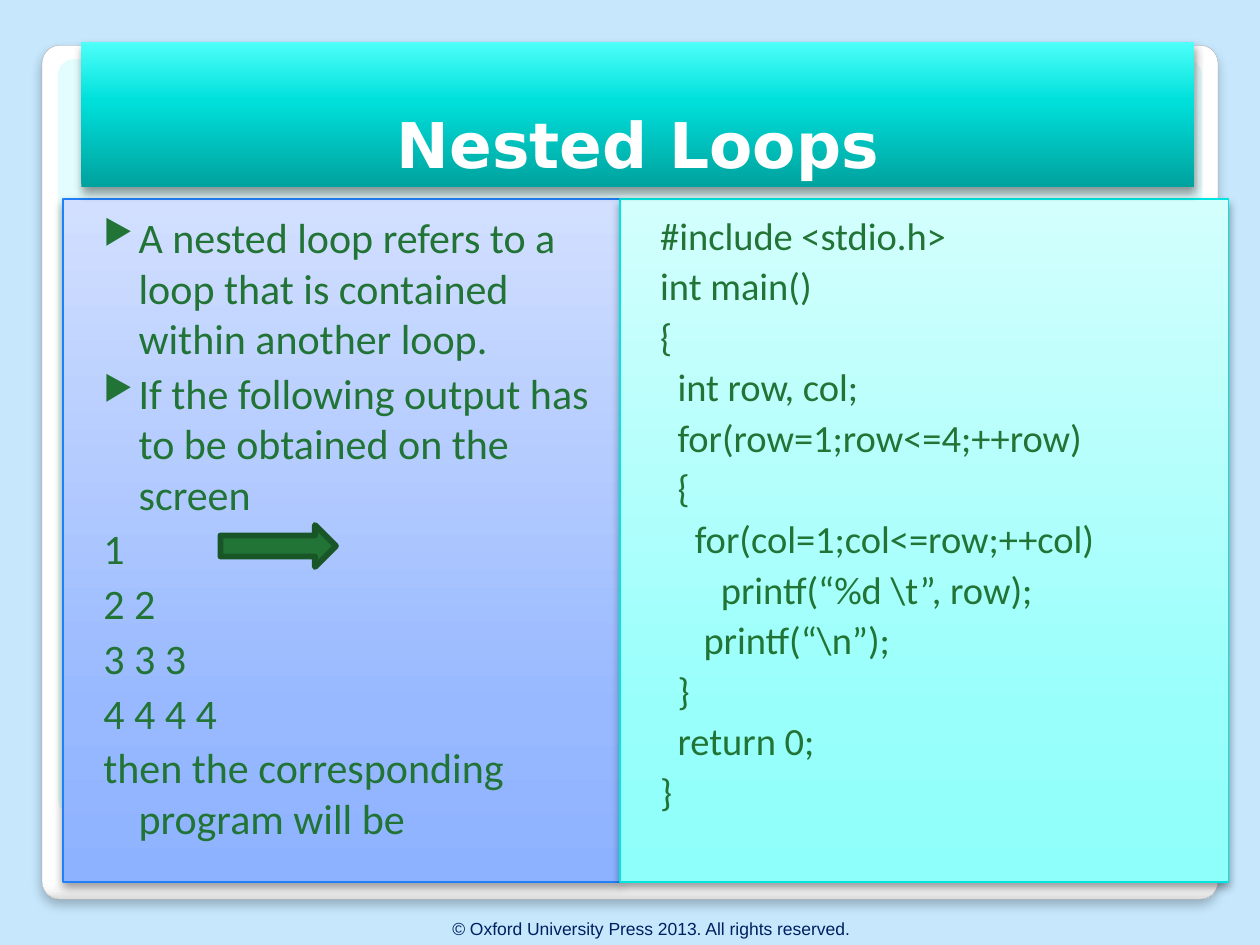
from lxml import etree
from pptx import Presentation
from pptx.dml.color import RGBColor
from pptx.enum import shapes, text
from pptx.oxml.ns import qn
from pptx.util import Pt

COLORS = {
    "background": "C6E7FC", "white": "FFFFFF", "green": "217435", "dark green": "185627",
    "frame line": "A4A4A4", "inner frame": "C9FAFC", "blue line": "2180F7",
    "cyan line": "00E5E0", "navy": "002060", "black": "000000",
}
GRADIENTS = {
    "frame": [(0, "FFFFFF"), (98, "FFFFFF"), (99, "F7F7F7"), (100, "DADADA")],
    "blue": [(0, "8DB2FF"), (25, "98B9FF"), (100, "D2DFFF")],
    "cyan": [(0, "8EFFFA"), (25, "99FFFB"), (100, "D3FFFD")],
    "title": [(0, "00A29E"), (60, "00E0DB"), (100, "4EFFF9")],
}
TITLE = "Nested Loops"
FOOTER = "© Oxford University Press 2013. All rights reserved."
BULLETS = [
    "A nested loop refers to a loop that is contained within another loop.",
    "If the following output has to be obtained on the screen",
]
OUTPUT = ["1", "2 2", "3 3 3", "4 4 4 4", "then the corresponding program will be"]
CODE = r"""#include <stdio.h>
int main()
{
  int row, col;
  for(row=1;row<=4;++row)
  {
    for(col=1;col<=row;++col)
       printf(“%d \t”, row);
     printf(“\n”);
  }
  return 0;
}""".split("\n")
PANEL_TOP, PANEL_HEIGHT = 113.76, 390.24
PANELS = [  # left, width, gradient, line, text size, bulleted lines, plain lines
    (36, 318.24, "blue", "blue line", 24, BULLETS, OUTPUT),
    (354.24, 347.76, "cyan", "cyan line", 22, [], CODE),
]


def rgb(name):
    return RGBColor.from_string(COLORS[name])


def add_element(parent, tag, **attributes):
    return etree.SubElement(parent, qn(tag), {key: str(value) for key, value in attributes.items()})


def add_box(slide, kind, box, fill=None, line=None, line_width=0.75):
    shape = slide.shapes.add_shape(kind, *(Pt(value) for value in box))
    shape.shadow.inherit = False
    if fill:
        shape.fill.solid()
        shape.fill.fore_color.rgb = rgb(fill)
    if line:
        shape.line.color.rgb = rgb(line)
        shape.line.width = Pt(line_width)
    else:
        shape.line.fill.background()
    return shape


def set_gradient(shape, name, angle=270):
    shape.fill.gradient()
    gradient = shape._element.spPr.find(qn("a:gradFill"))
    gradient.clear()
    stops = add_element(gradient, "a:gsLst")
    for position, color in GRADIENTS[name]:
        add_element(add_element(stops, "a:gs", pos=position * 1000), "a:srgbClr", val=color)
    add_element(gradient, "a:lin", ang=angle * 60000, scaled=0)


def set_shadow(shape, opacity=40, blur=5.2, distance=3):
    effects = shape._element.spPr.find(qn("a:effectLst"))
    shadow = add_element(effects, "a:outerShdw", blurRad=Pt(blur), dist=Pt(distance),
                         dir=90 * 60000, algn="ctr", rotWithShape=0)
    color = add_element(shadow, "a:srgbClr", val=COLORS["black"])
    add_element(color, "a:alpha", val=opacity * 1000)


def style_paragraph(paragraph, content, size, font, color, align, bold=False):
    paragraph.text = content
    paragraph.alignment = align
    paragraph.font.size = Pt(size)
    paragraph.font.name = font
    paragraph.font.bold = bold
    paragraph.font.color.rgb = rgb(color)


def set_hanging_indent(paragraph, bulleted):
    properties = paragraph._p.get_or_add_pPr()
    properties.set("marL", str(Pt(28.8)))
    properties.set("indent", str(Pt(-20.16)))
    if bulleted:
        add_element(add_element(properties, "a:buClr"), "a:srgbClr", val=COLORS["green"])
        add_element(properties, "a:buSzPct", val=80000)
        add_element(properties, "a:buChar", char="▶")
    else:
        add_element(properties, "a:buNone")


def add_panel(slide, left, width, gradient, line, size, bullets, plain):
    panel = add_box(slide, shapes.MSO_SHAPE.RECTANGLE,
                    (left, PANEL_TOP, width, PANEL_HEIGHT), line=line)
    set_gradient(panel, gradient)
    set_shadow(panel)
    frame = panel.text_frame
    frame.word_wrap = True
    frame.vertical_anchor = text.MSO_ANCHOR.TOP
    frame.margin_left, frame.margin_top = Pt(14.4), Pt(7.2)
    frame.margin_right, frame.margin_bottom = Pt(7.2), Pt(3.6)
    for index, content in enumerate(bullets + plain):
        paragraph = frame.add_paragraph() if index else frame.paragraphs[0]
        set_hanging_indent(paragraph, index < len(bullets))
        style_paragraph(paragraph, content, size, "Calibri", "green", text.PP_ALIGN.LEFT)
        if index:
            paragraph.space_before = Pt(2.5)


def add_heading(shape, content, size, font, color, bold=False):
    frame = shape.text_frame
    frame.word_wrap = True
    frame.vertical_anchor = text.MSO_ANCHOR.BOTTOM
    style_paragraph(frame.paragraphs[0], content, size, font, color, text.PP_ALIGN.CENTER, bold)


def main():
    presentation = Presentation()
    presentation.slide_width, presentation.slide_height = Pt(720), Pt(540)
    slide = presentation.slides.add_slide(presentation.slide_layouts[6])
    slide.background.fill.solid()
    slide.background.fill.fore_color.rgb = rgb("background")

    rounded = shapes.MSO_SHAPE.ROUNDED_RECTANGLE
    frame = add_box(slide, rounded, (24, 25.92, 672, 488), line="frame line", line_width=0.16)
    set_gradient(frame, "frame", 90)
    set_shadow(frame, 25, 6, 4)
    inner = add_box(slide, rounded, (33.12, 33.84, 653.76, 432), fill="inner frame")
    add_element(inner._element.spPr.find(".//" + qn("a:srgbClr")), "a:alpha", val=50000)
    for shape in (frame, inner):
        shape.adjustments[0] = 0.021

    for panel in PANELS:
        add_panel(slide, *panel)

    footer = slide.shapes.add_textbox(Pt(36), Pt(511.2), Pt(672), Pt(28.8))
    add_heading(footer, FOOTER, 10, "Arial", "navy")

    add_box(slide, shapes.MSO_SHAPE.RIGHT_ARROW, (126, 300, 66, 24),
            "green", "dark green", 3.35)

    title = add_box(slide, shapes.MSO_SHAPE.RECTANGLE, (46.5, 24, 636, 82.8))
    set_gradient(title, "title")
    set_shadow(title)
    add_heading(title, TITLE, 36, "DejaVu Sans", "white", bold=True)

    presentation.save("out.pptx")


if __name__ == "__main__":
    main()
